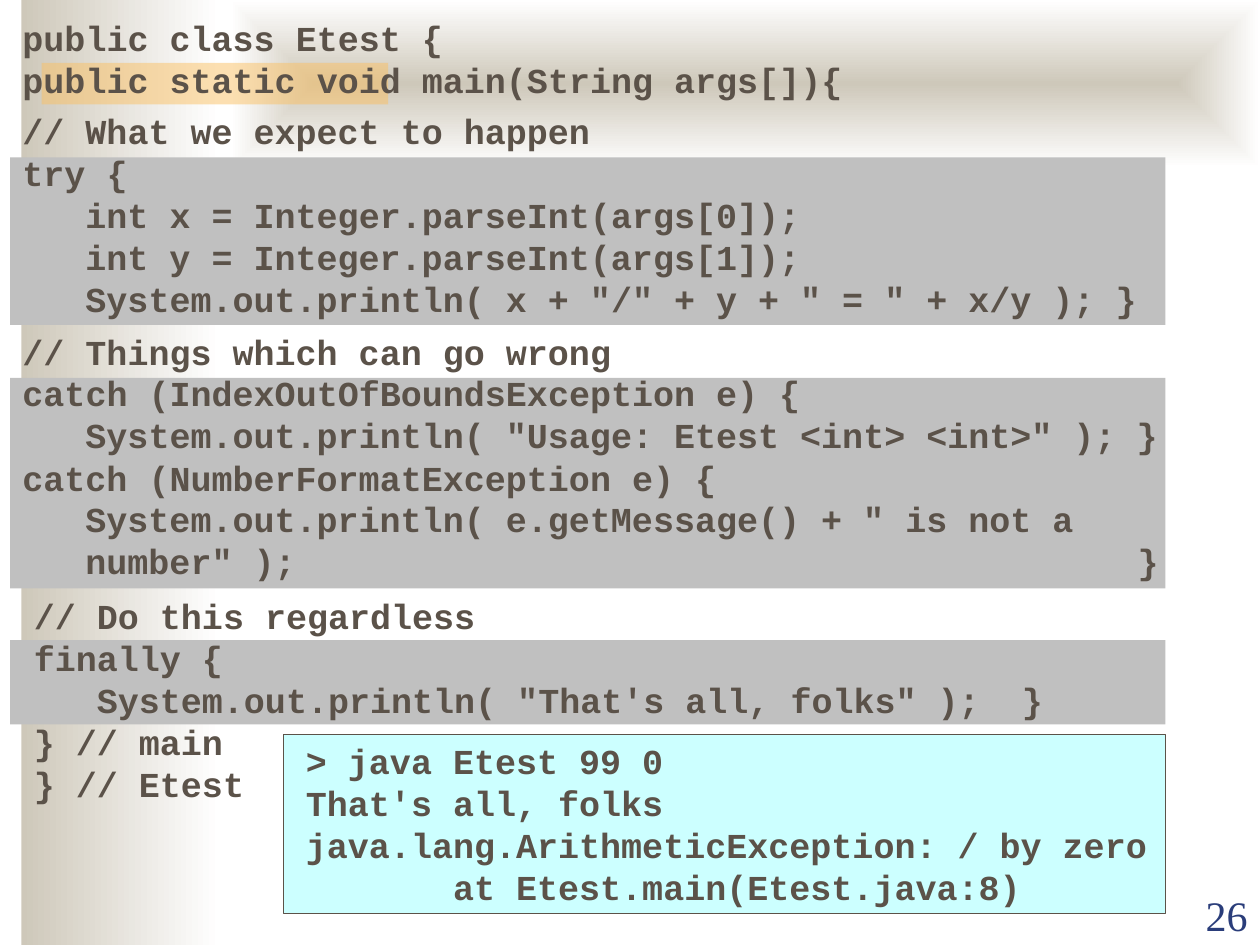
from lxml import etree
from pptx import Presentation
from pptx.dml.color import RGBColor
from pptx.enum.shapes import MSO_SHAPE
from pptx.enum.text import MSO_ANCHOR, PP_ALIGN
from pptx.oxml import parse_xml
from pptx.oxml.ns import nsdecls, qn
from pptx.util import Inches, Pt

SAND = RGBColor(0xCE, 0xC8, 0xBA)
WHITE = RGBColor(0xFF, 0xFF, 0xFF)
AMBER = RGBColor(0xFA, 0xC1, 0x64)
CYAN = RGBColor(0xCC, 0xFF, 0xFF)
GREY = RGBColor(0xC0, 0xC0, 0xC0)
BROWN = RGBColor(0x5B, 0x52, 0x49)
NAVY = RGBColor(0x2A, 0x3D, 0x7A)

LINE_PITCH = 1 / 3
INDENT = 0.5
BRACE_TAB = 8.35

# Code sections: left, top, then (indent level, box width, code) for each line
SECTIONS = [
    (0.08, 0.08, [
        (0, 5.58, "public class Etest {"),
        (0, 7.92, "public static void main(String args[]){"),
    ]),
    (0.08, 0.82, [
        (0, 6.67, "// What we expect to happen"),
        (0, 3.58, "try {"),
        (1, 6.08, "int x = Integer.parseInt(args[0]);"),
        (1, 8.33, "int y = Integer.parseInt(args[1]);"),
        (1, 8.58, 'System.out.println( x + "/" + y + " = " + x/y ); }'),
    ]),
    (0.08, 2.57, [
        (0, 6.17, "// Things which can go wrong"),
        (0, 9.08, "catch (IndexOutOfBoundsException e) {"),
        (1, 8.75, 'System.out.println( "Usage: Etest <int> <int>" ); }'),
        (0, 9, "catch (NumberFormatException e) {"),
        (1, 8.83, 'System.out.println( e.getMessage() + " is not a number" );\t}'),
    ]),
    (0.17, 4.67, [
        (0, 6.42, "// Do this regardless"),
        (0, 3.17, "finally {"),
        (1, 8.42, 'System.out.println( "That\'s all, folks" );  }'),
        (0, 2.5, "} // main"),
        (0, 2.42, "} // Etest"),
    ]),
    (2.33, 5.82, [
        (0, 3.33, "> java Etest 99 0"),
        (0, 3.67, "That's all, folks"),
        (0, 7, "java.lang.ArithmeticException: / by zero\v       at Etest.main(Etest.java:8)"),
    ]),
]
# Grey highlights behind the finally, catch and try blocks: top, height
HIGHLIGHTS = [(5.08, 0.67), (3, 1.67), (1.25, 1.33)]

CODE_FONT = {"name": "Courier New", "size": Pt(20), "bold": True}
NUMBER_FONT = {"name": "Times New Roman", "size": Pt(24)}

prs = Presentation()
prs.slide_width, prs.slide_height = Inches(10), Inches(7.5)
slide = prs.slides.add_slide(prs.slide_layouts[6])


def add_panel(left, top, width, height, color=None, border=None):
    panel = slide.shapes.add_shape(MSO_SHAPE.RECTANGLE, Inches(left), Inches(top),
                                   Inches(width), Inches(height))
    panel.shadow.inherit = False
    if color is not None:
        panel.fill.solid()
        panel.fill.fore_color.rgb = color
    if border is None:
        panel.line.fill.background()
    else:
        panel.line.color.rgb = border
        panel.line.width = Pt(0.75)
    return panel


def fade_to_white(panel, direction):
    gradient = parse_xml(
        f'<a:gradFill {nsdecls("a")} rotWithShape="1"><a:gsLst>'
        f'<a:gs pos="0"><a:srgbClr val="{SAND}"/></a:gs>'
        f'<a:gs pos="100000"><a:srgbClr val="{WHITE}"/></a:gs>'
        f'</a:gsLst>{direction}</a:gradFill>')
    panel._element.spPr.find(qn("a:prstGeom")).addnext(gradient)


def add_text(left, top, width, height, text, font, color):
    box = slide.shapes.add_textbox(Inches(left), Inches(top), Inches(width), Inches(height))
    frame = box.text_frame
    frame.word_wrap = True
    paragraph = frame.paragraphs[0]
    paragraph.text = text
    if "\t" in text:
        tabs = etree.SubElement(paragraph._p.get_or_add_pPr(), qn("a:tabLst"))
        etree.SubElement(tabs, qn("a:tab"), pos=str(Inches(BRACE_TAB)), algn="l")
    for run in paragraph.runs:
        for attribute, value in font.items():
            setattr(run.font, attribute, value)
        run.font.color.rgb = color
    return frame


# Background bands
fade_to_white(add_panel(0.17, 0, 1.58, 7.5), '<a:lin ang="0" scaled="1"/>')
fade_to_white(add_panel(1.83, 0, 8.17, 1.33),
              '<a:path path="rect"><a:fillToRect l="50000" t="50000" r="50000" b="50000"/></a:path>')
accent = add_panel(0.33, 0.5, 2.75, 0.33, AMBER)
accent_color = accent._element.spPr.find(qn("a:solidFill"))[0]
etree.SubElement(accent_color, qn("a:alpha"), val="50000")

# Slide number
number = add_text(9, 7.01, 1, 0.5, "26", NUMBER_FONT, NAVY)
number.vertical_anchor = MSO_ANCHOR.BOTTOM
number.paragraphs[0].alignment = PP_ALIGN.RIGHT

# Output panel and code highlights
add_panel(2.25, 5.83, 7, 1.42, CYAN, BROWN)
for top, height in HIGHLIGHTS:
    add_panel(0.08, top, 9.17, height, GREY)

# Code and program output
for left, top, lines in SECTIONS:
    for row, (level, width, code) in enumerate(lines):
        height = 0.77 if "\t" in code or "\v" in code else 0.44
        add_text(left + level * INDENT, top + row * LINE_PITCH, width, height,
                 code, CODE_FONT, BROWN)

prs.save("out.pptx")
